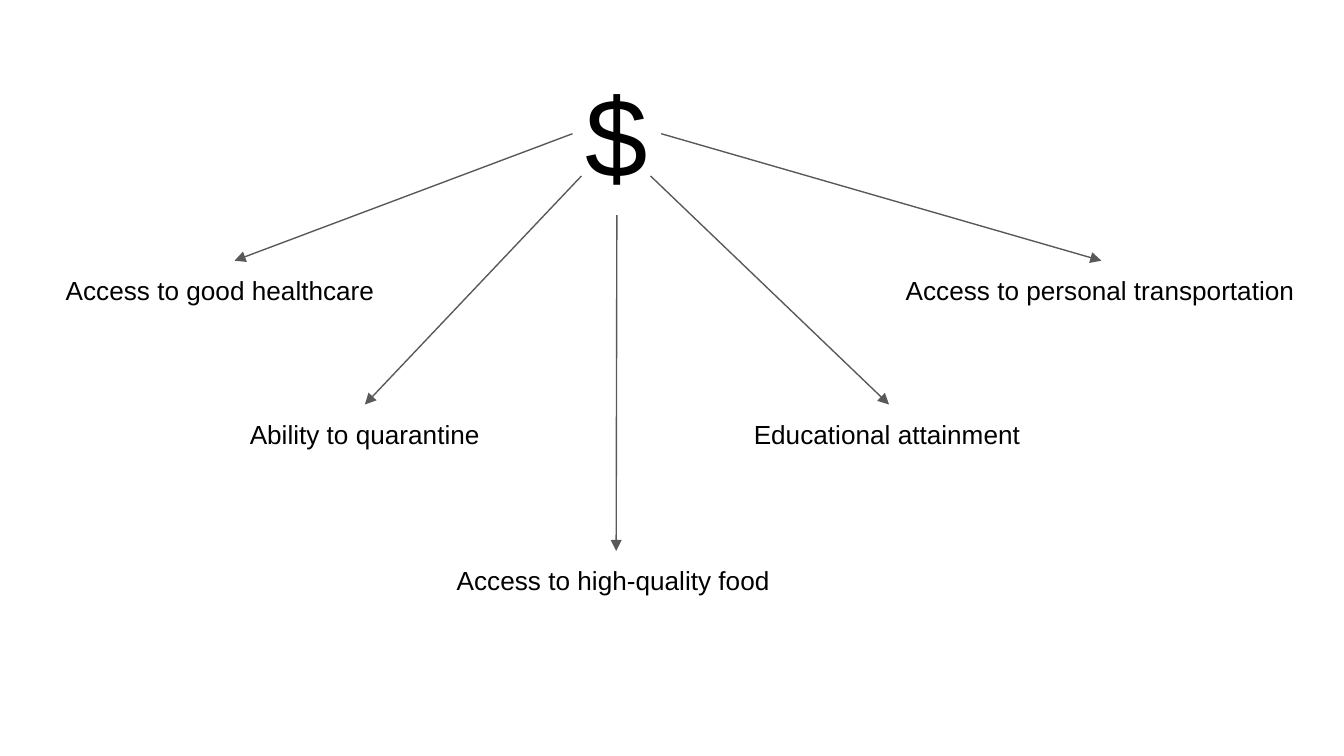
from dataclasses import dataclass

from lxml import etree
from pptx import Presentation, util as u
from pptx.dml.color import RGBColor
from pptx.enum import shapes, text
from pptx.oxml.ns import qn


@dataclass(frozen=True)
class Theme:
    """Colours, font and sizes of the deck."""
    ink: RGBColor = RGBColor(0, 0, 0)
    line: RGBColor = RGBColor(0x59, 0x59, 0x59)
    face: str = "Arial"
    hub: int = 60
    label: int = 14
    weight: float = 0.75


THEME = Theme()
COLS, ROWS = 100, 56.25
WIDTH, HEIGHT = u.Inches(10), u.Inches(5.625)
HUB = (42.6, 3.9, 6.6, 12.1)
TIERS = (19.4, 30.1, 41)
DEPTH = 4.4
SPOKES = (
    ("Access to good healthcare", 3.9, 27.1, 0, 1),
    ("Ability to quarantine", 17.6, 19.1, 1, (0.1, 0.76)),
    ("Access to high-quality food", 33, 25.7, 2, 2),
    ("Educational attainment", 55.1, 22.1, 1, (0.88, 0.76)),
    ("Access to personal transportation", 66.4, 31.1, 0, 3),
)


def scale(box):
    """Turn grid columns and rows into slide lengths."""
    left, top, wide, high = box
    return (int(left * WIDTH / COLS), int(top * HEIGHT / ROWS),
            int(wide * WIDTH / COLS), int(high * HEIGHT / ROWS))


def write(slide, box, words, size):
    """Place a line of text in a grid box."""
    shape = slide.shapes.add_textbox(*scale(box))
    frame = shape.text_frame
    frame.word_wrap = True
    frame.auto_size = text.MSO_AUTO_SIZE.SHAPE_TO_FIT_TEXT
    frame.margin_left = frame.margin_right = u.Inches(0.1)
    frame.margin_top = frame.margin_bottom = u.Inches(0.1)
    run = frame.paragraphs[0].add_run()
    run.text = words
    run.font.name = THEME.face
    run.font.size = u.Pt(size)
    run.font.color.rgb = THEME.ink
    return shape


def link(slide, hub, label, start):
    """Draw an arrow from a hub site or share of its box to a label."""
    free = isinstance(start, tuple)
    across, down = start if free else (0.5, 0.5)
    left = int(hub.left + across * hub.width)
    top = int(hub.top + down * hub.height)
    arrow = slide.shapes.add_connector(
        shapes.MSO_CONNECTOR.STRAIGHT, left, top, left, top)
    if not free:
        arrow.begin_connect(hub, start)
    arrow.end_connect(label, 0)
    arrow.line.color.rgb = THEME.line
    arrow.line.width = u.Pt(THEME.weight)
    tail = etree.SubElement(arrow.line._get_or_add_ln(), qn("a:tailEnd"))
    tail.set("type", "triangle")
    etree.SubElement(arrow._element.spPr, qn("a:effectLst"))


def fan(slide, box, spokes):
    """Place the hub in its box and fan its labels out below."""
    hub = write(slide, box, "$", THEME.hub)
    for words, left, wide, tier, start in spokes:
        label = write(slide, (left, TIERS[tier], wide, DEPTH), words, THEME.label)
        link(slide, hub, label, start)


def main():
    """Build and save the deck."""
    deck = Presentation()
    deck.slide_width, deck.slide_height = WIDTH, HEIGHT
    slide = deck.slides.add_slide(deck.slide_layouts[6])
    fan(slide, HUB, SPOKES)
    deck.save("out.pptx")


if __name__ == "__main__":
    main()
